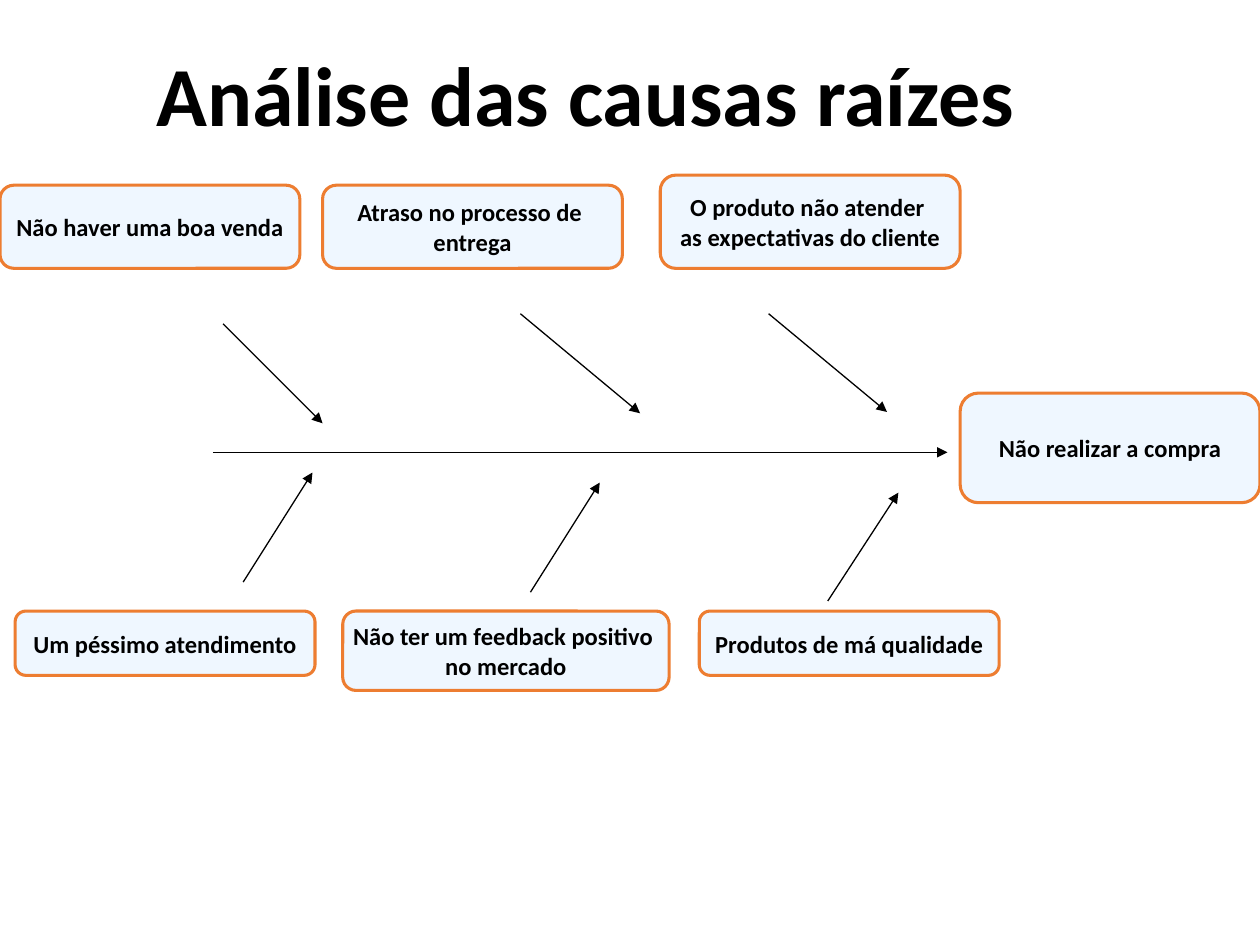
from pptx import Presentation
from pptx.util import Inches, Pt
from pptx.dml.color import RGBColor as Rgb
from pptx.enum.shapes import MSO_SHAPE as Form, MSO_CONNECTOR as Link
from pptx.enum.text import PP_ALIGN as Align, MSO_ANCHOR as Anchor, MSO_AUTO_SIZE as Fit
from pptx.oxml.ns import qn
from lxml.etree import SubElement as Sub

HUES = {"ink": "000000", "fill": "EFF7FF", "edge": "ED7D31"}


def hue(name):
    return Rgb.from_string(HUES[name])


def write(frame, lines, size):
    par = frame.paragraphs[0]
    par.alignment = Align.CENTER
    for n, line in enumerate(lines):
        if n:
            par.add_line_break()
        run = par.add_run()
        run.text = line
        run.font.name = "Calibri"
        run.font.size = Pt(size)
        run.font.bold = True
        run.font.color.rgb = hue("ink")


deck = Presentation()
deck.slide_width, deck.slide_height = Inches(10), Inches(7.5)
slide = deck.slides.add_slide(deck.slide_layouts[5])

title = slide.shapes.title
title.left, title.top = Inches(-0.35), Inches(0.29)
title.width, title.height = Inches(10), Inches(0.91)
title.text_frame.vertical_anchor = Anchor.TOP
title.text_frame.auto_size = Fit.NONE
write(title.text_frame, ["Análise das causas raízes"], 48)

spine = (1.69, 3.59, 7.52, 3.59)
upper = [(1.77, 2.57, 2.56, 3.36), (4.13, 2.49, 5.08, 3.28), (6.1, 2.49, 7.04, 3.27)]
lower = [(1.93, 4.62, 2.48, 3.75), (4.21, 4.7, 4.76, 3.83), (6.57, 4.77, 7.13, 3.91)]
for ends in [spine] + upper + lower:
    arrow = slide.shapes.add_connector(Link.STRAIGHT, *[Inches(v) for v in ends])
    arrow.line.color.rgb = hue("ink")
    arrow.line.width = Pt(0.75)
    Sub(arrow.line._get_or_add_ln(), qn("a:tailEnd"), type="triangle")
    Sub(arrow._element.spPr, qn("a:effectLst"))

wide = 2.38
boxes = [
    (0, 1.47, wide, 0.66, ["Não haver uma boa venda"]),
    (2.56, 1.47, wide, 0.66, ["Atraso no processo de ", "entrega"]),
    (5.24, 1.39, wide, 0.74, ["O produto não atender ", "as expectativas do cliente"]),
    (0.12, 4.85, wide, 0.51, ["Um péssimo atendimento"]),
    (2.72, 4.85, 2.59, 0.63, ["Não ter um feedback positivo ", "no mercado"]),
    (5.55, 4.85, wide, 0.51, ["Produtos de má qualidade"]),
    (7.62, 3.12, wide, 0.87, ["Não realizar a compra"]),
]
for *area, lines in boxes:
    box = slide.shapes.add_shape(Form.ROUNDED_RECTANGLE, *[Inches(v) for v in area])
    box.shadow.inherit = False
    box.fill.solid()
    box.fill.fore_color.rgb = hue("fill")
    box.line.color.rgb = hue("edge")
    box.line.width = Pt(1.75)
    box.text_frame.word_wrap = False
    box.text_frame.vertical_anchor = Anchor.MIDDLE
    write(box.text_frame, lines, 14)

deck.save("out.pptx")
